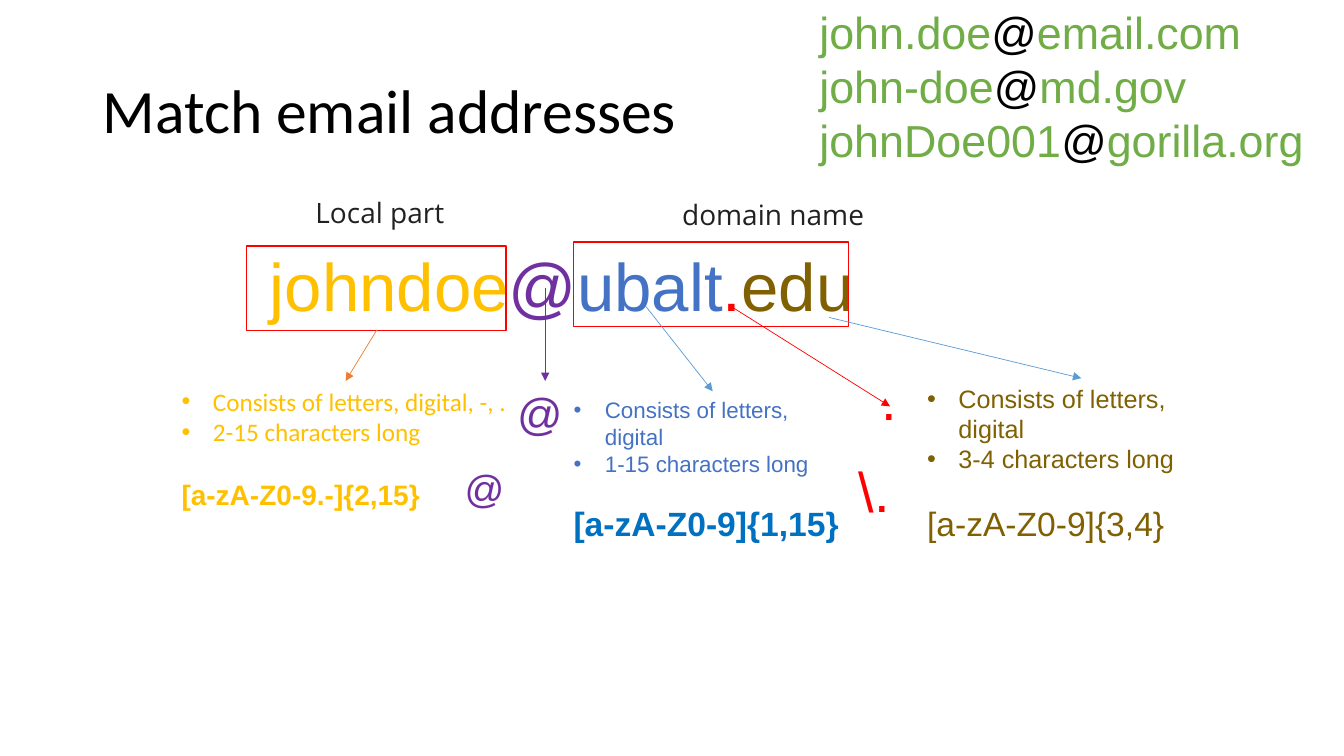
from lxml import etree
from pptx import Presentation
from pptx import util as u
from pptx.dml import color as dml
from pptx.enum import shapes, text
from pptx.oxml import ns

GOLD, PURPLE, BLUE, RED, BROWN = "FFC000", "7030A0", "4472C4", "FF0000", "806000"
GREEN, BLACK, GREY, SKY, ORANGE = "70AD47", "000000", "212121", "5B9BD5", "ED7D31"


def colour(value):
    return dml.RGBColor.from_string(value)


def write(paragraph, content, size, fill, font="Arial", bold=False):
    run = paragraph.add_run()
    run.text = content
    run.font.size = u.Pt(size)
    run.font.name = font
    run.font.bold = bold
    run.font.color.rgb = colour(fill)


presentation = Presentation()
presentation.slide_width = u.Cm(33.87)
presentation.slide_height = u.Cm(19.05)
slide = presentation.slides.add_slide(presentation.slide_layouts.get_by_name("Comparison"))
title, *bodies = slide.placeholders
spare = bodies.pop()
spare.element.getparent().remove(spare.element)

title.left, title.top, title.width, title.height = u.Cm(2.33), u.Cm(1.01), u.Cm(29.21), u.Cm(3.68)
title.text_frame.vertical_anchor = text.MSO_ANCHOR.MIDDLE
heading = title.text_frame.paragraphs[0]
heading.alignment = text.PP_ALIGN.LEFT
heading.line_spacing = 0.9
write(heading, "Match email addresses", 44, BLACK, font="Calibri")

sample = [("johndoe", GOLD), ("@", PURPLE), ("ubalt", BLUE), (".", RED), ("edu", BROWN)]
emails = [
    [(local, GREEN), ("@", BLACK), (domain, GREEN)]
    for local, domain in [("john.doe", "email.com"), ("john-doe", "md.gov"), ("johnDoe001", "gorilla.org")]
]
text_boxes = [
    (6.55, 6.02, 19.46, 2.31, 48, "Arial", [sample]),
    (16.94, 4.85, 5.66, 1.12, 20, "Open Sans", [[("domain name", GREY)]]),
    (7.7, 4.8, 3.96, 1.12, 20, "Open Sans", [[("Local part", GREY)]]),
    (20.4, 0, 13.46, 4.37, 32, "Arial", emails),
    (12.78, 9.6, 1.96, 1.63, 32, "Arial", [[("@", PURPLE)]]),
    (21.97, 9.07, 1.04, 1.96, 40, "Arial", [[(".", RED)]]),
    (11.46, 11.58, 1.88, 1.45, 28, "Arial", [[("@", PURPLE)]]),
    (21.39, 11.38, 1.45, 1.96, 40, "Arial", [[("\\.", RED)]]),
]
for left, top, width, height, size, font, lines in text_boxes:
    box = slide.shapes.add_textbox(u.Cm(left), u.Cm(top), u.Cm(width), u.Cm(height))
    frame = box.text_frame
    frame.word_wrap = True
    for number, line in enumerate(lines):
        paragraph = frame.add_paragraph() if number else frame.paragraphs[0]
        for content, fill in line:
            write(paragraph, content, size, fill, font=font)

for left, top, width in [(6.22, 6.2, 6.53), (14.45, 6.1, 6.93)]:
    frame_box = slide.shapes.add_shape(
        shapes.MSO_SHAPE.RECTANGLE, u.Cm(left), u.Cm(top), u.Cm(width), u.Cm(2.13)
    )
    frame_box.shadow.inherit = False
    frame_box.fill.background()
    frame_box.line.color.rgb = colour(RED)
    frame_box.line.width = u.Pt(1)

rules = [
    (4.32, 9.6, 8.8, 3.43, 18, "Calibri", GOLD, 22,
     ["Consists of letters, digital, -, .", "2-15 characters long"],
     ("[a-zA-Z0-9.-]{2,15}", 20, GOLD, True)),
    (14.2, 9.86, 7.49, 3.33, 16, "Arial", BLUE, 18.5,
     ["Consists of letters, digital", "1-15 characters long"],
     ("[a-zA-Z0-9]{1,15}", 24, "0070C0", True)),
    (23.11, 9.53, 8.28, 3.58, 18, "Arial", BROWN, 20.5,
     ["Consists of letters, digital", "3-4 characters long"],
     ("[a-zA-Z0-9]{3,4}", 24, BROWN, False)),
]
for body, rule in zip(bodies, rules):
    left, top, width, height, size, font, fill, gap, bullets, pattern = rule
    body.left, body.top, body.width, body.height = u.Cm(left), u.Cm(top), u.Cm(width), u.Cm(height)
    frame = body.text_frame
    frame.word_wrap = True
    frame.auto_size = text.MSO_AUTO_SIZE.NONE
    frame.vertical_anchor = text.MSO_ANCHOR.TOP
    for number, content in enumerate(bullets):
        paragraph = frame.add_paragraph() if number else frame.paragraphs[0]
        paragraph.space_before = u.Pt(0)
        properties = paragraph._p.get_or_add_pPr()
        properties.set("marL", str(u.Cm(0.79)))
        properties.set("indent", str(-u.Cm(0.79)))
        etree.SubElement(properties, ns.qn("a:buFont"), typeface="Arial")
        etree.SubElement(properties, ns.qn("a:buChar"), char="•")
        write(paragraph, content, size, fill, font=font)
    paragraph = frame.add_paragraph()
    paragraph.space_before = u.Pt(gap)
    properties = paragraph._p.get_or_add_pPr()
    properties.set("marL", "0")
    properties.set("indent", "0")
    etree.SubElement(properties, ns.qn("a:buNone"))
    expression, size, fill, bold = pattern
    write(paragraph, expression, size, fill, bold=bold)

arrows = [
    (9.5, 8.31, 8.71, 9.6, ORANGE),
    (13.74, 7.26, 13.74, 9.6, PURPLE),
    (16.26, 7.7, 17.96, 9.86, SKY),
    (18.39, 7.7, 22.43, 10.24, RED),
    (20.9, 8, 27.25, 9.53, SKY),
]
for start_x, start_y, end_x, end_y, fill in arrows:
    arrow = slide.shapes.add_connector(
        shapes.MSO_CONNECTOR.STRAIGHT, u.Cm(start_x), u.Cm(start_y), u.Cm(end_x), u.Cm(end_y)
    )
    arrow.line.color.rgb = colour(fill)
    arrow.line.width = u.Pt(0.5)
    etree.SubElement(arrow.line._get_or_add_ln(), ns.qn("a:tailEnd"), type="triangle")
    etree.SubElement(arrow._element.spPr, ns.qn("a:effectLst"))

presentation.save("out.pptx")
